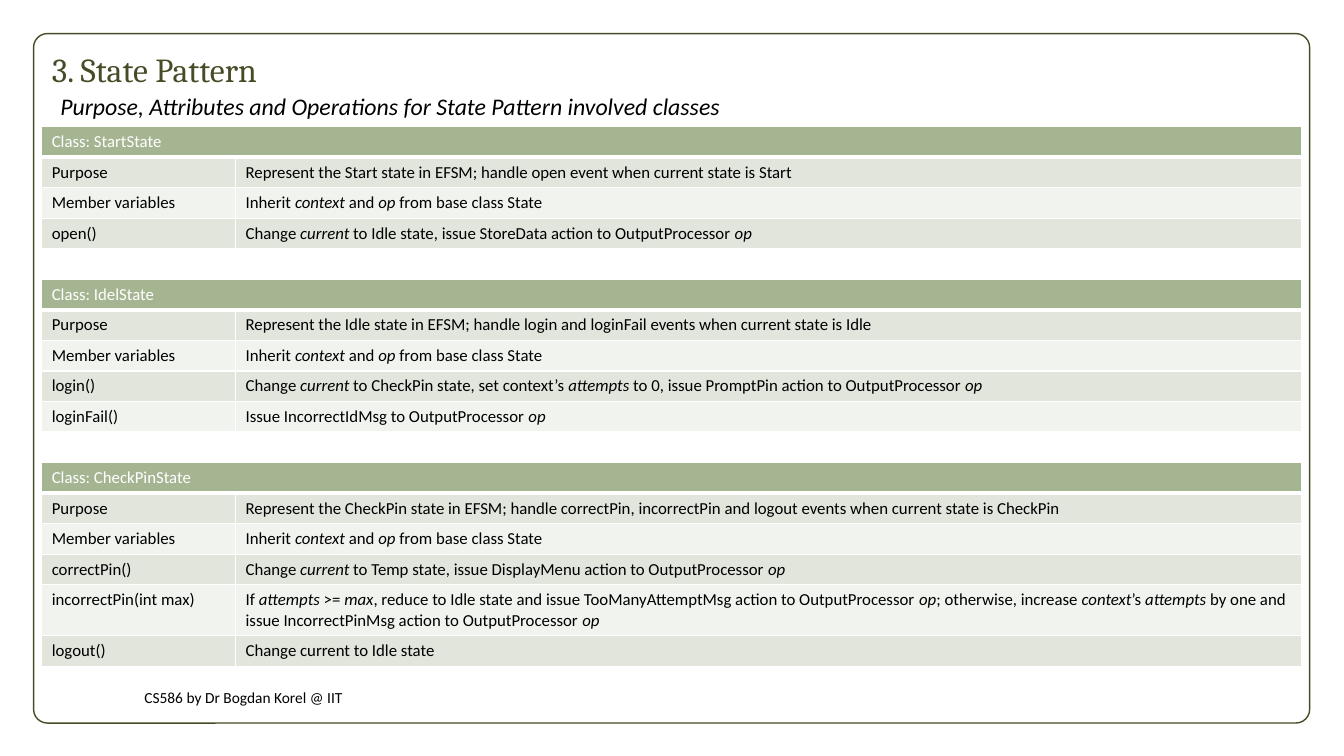
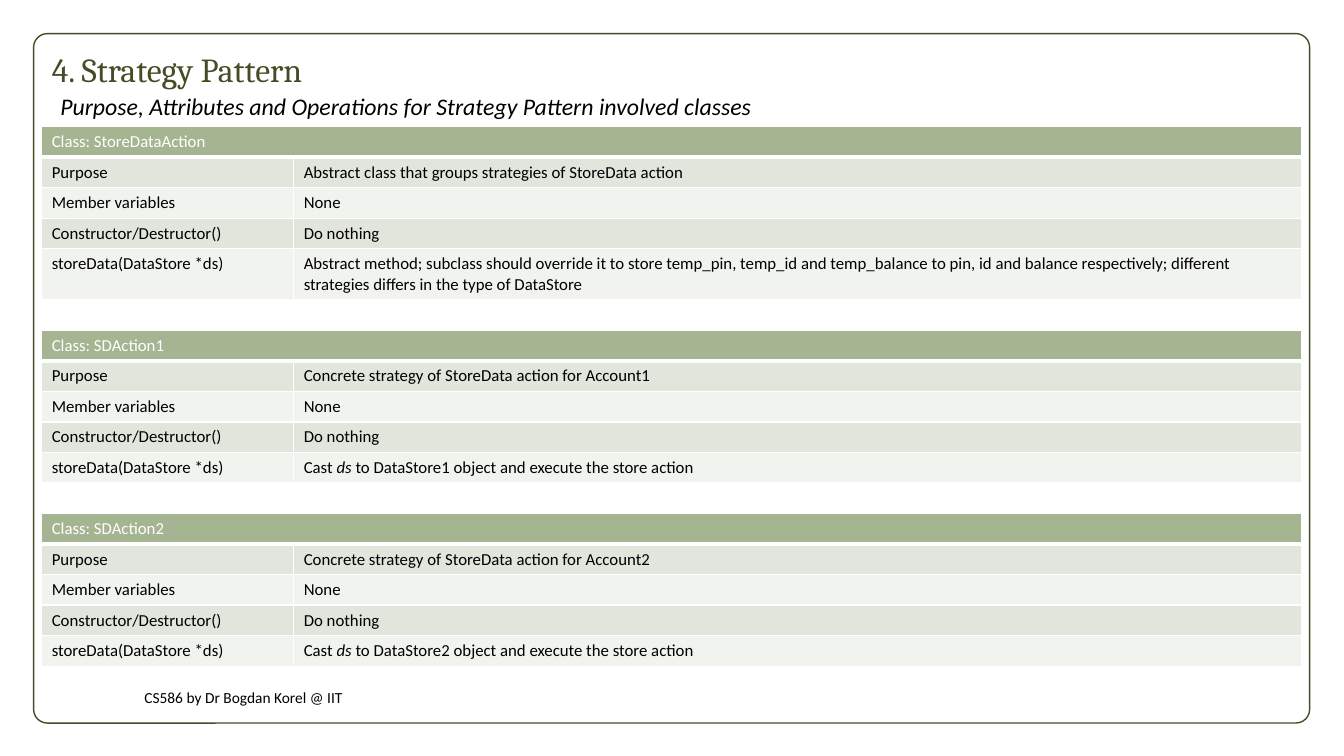
"""Builds two slides of class tables for the State and Strategy patterns."""
import pptx
import pptx.dml.color
import pptx.enum.shapes
import pptx.enum.text
import pptx.oxml.ns
import pptx.util
from lxml import etree

Pt = pptx.util.Pt
MIDDLE = pptx.enum.text.MSO_ANCHOR.MIDDLE
TOP = pptx.enum.text.MSO_ANCHOR.TOP

COLORS = {"olive": "444D26", "header": "A5B592", "odd": "E1E5DC",
          "even": "F0F3EE", "white": "FFFFFF", "black": "000000"}
BODY_FONT, TITLE_FONT = "Calibri", "Cambria"
FOOTER = "CS586 by Dr Bogdan Korel @ IIT"
SUBTITLE = "Purpose, Attributes and Operations for {} involved classes"
ITALIC_MARK = "|"

INHERITED = ("Member variables", "Inherit |context| and |op| from base class State")
STATELESS = [("Member variables", "None"), ("Constructor/Destructor()", "Do nothing")]
STORE = "storeData(DataStore *ds)"

SLIDES = [
    {"number": 3, "pattern": "State Pattern", "label_width": 138.5, "classes": [
        ("StartState", [
            ("Purpose", "Represent the Start state in EFSM; handle open event when current state is Start"),
            INHERITED,
            ("open()", "Change |current| to Idle state, issue StoreData action to OutputProcessor |op|"),
        ]),
        ("IdelState", [
            ("Purpose", "Represent the Idle state in EFSM; handle login and loginFail events when "
                        "current state is Idle"),
            INHERITED,
            ("login()", "Change |current| to CheckPin state, set context’s |attempts| to 0, issue "
                        "PromptPin action to OutputProcessor |op|"),
            ("loginFail()", "Issue IncorrectIdMsg to OutputProcessor |op|"),
        ]),
        ("CheckPinState", [
            ("Purpose", "Represent the CheckPin state in EFSM; handle correctPin, incorrectPin and "
                        "logout events when current state is CheckPin"),
            INHERITED,
            ("correctPin()", "Change |current| to Temp state, issue DisplayMenu action to OutputProcessor |op|"),
            ("incorrectPin(int max)",
             "If |attempts| >= |max|, reduce to Idle state and issue TooManyAttemptMsg action to "
             "OutputProcessor |op|; otherwise, increase |context|’s |attempts| by one and issue "
             "IncorrectPinMsg action to OutputProcessor |op|"),
            ("logout()", "Change current to Idle state"),
        ]),
    ]},
    {"number": 4, "pattern": "Strategy Pattern", "label_width": 180, "classes": [
        ("StoreDataAction", [
            ("Purpose", "Abstract class that groups strategies of StoreData action"),
            *STATELESS,
            (STORE, "Abstract method; subclass should override it to store temp_pin, temp_id and "
                    "temp_balance to pin, id and balance respectively; different strategies differs "
                    "in the type of DataStore"),
        ]),
        *[(f"SDAction{n}", [
            ("Purpose", f"Concrete strategy of StoreData action for Account{n}"),
            *STATELESS,
            (STORE, f"Cast |ds| to DataStore{n} object and execute the store action"),
        ]) for n in (1, 2)],
    ]},
]

TABLE_LEFT, TABLE_TOP, TABLE_WIDTH = 29.8, 90.6, 900
ROW_HEIGHT, TWO_LINE_HEIGHT, LINE_CAPACITY = 21.8, 36.4, 150


def rgb(name):
    return pptx.dml.color.RGBColor.from_string(COLORS[name])


def write(frame, text, size, color, font=BODY_FONT, anchor=MIDDLE, italic=None):
    frame.word_wrap = True
    frame.vertical_anchor = anchor
    paragraph = frame.paragraphs[0]
    paragraph.alignment = pptx.enum.text.PP_ALIGN.LEFT
    paragraph.font.size = Pt(size)
    paragraph.font.name = font
    paragraph.font.color.rgb = rgb(color)
    paragraph.font.italic = italic
    for position, piece in enumerate(text.split(ITALIC_MARK)):
        if piece:
            run = paragraph.add_run()
            run.text = piece
            if position % 2:
                run.font.italic = True
    return paragraph


def style_cell(cell, row, fill):
    properties = cell._tc.get_or_add_tcPr()
    widths = {"lnL": 1, "lnR": 1, "lnT": 3 if row == 1 else 1, "lnB": 3 if row == 0 else 1}
    for side, width in widths.items():
        line = etree.SubElement(properties, pptx.oxml.ns.qn(f"a:{side}"), w=str(Pt(width)))
        paint = etree.SubElement(line, pptx.oxml.ns.qn("a:solidFill"))
        etree.SubElement(paint, pptx.oxml.ns.qn("a:srgbClr"), val=COLORS["white"])
    cell.fill.solid()
    cell.fill.fore_color.rgb = rgb(fill)


def add_class_table(slide, top, label_width, name, members):
    heights = [ROW_HEIGHT] + [
        TWO_LINE_HEIGHT if len(text.replace(ITALIC_MARK, "")) > LINE_CAPACITY else ROW_HEIGHT
        for _, text in members]
    table = slide.shapes.add_table(len(heights), 2, Pt(TABLE_LEFT), Pt(top),
                                   Pt(TABLE_WIDTH), Pt(sum(heights))).table
    table.first_row = table.horz_banding = False
    table.columns[0].width = Pt(label_width)
    table.columns[1].width = Pt(TABLE_WIDTH - label_width)
    table.cell(0, 0).merge(table.cell(0, 1))
    for row, (height, texts) in enumerate(zip(heights, [(f"Class: {name}", ""), *members])):
        table.rows[row].height = Pt(height)
        fill = "header" if row == 0 else "odd" if row % 2 else "even"
        for column, text in enumerate(texts):
            cell = table.cell(row, column)
            style_cell(cell, row, fill)
            write(cell.text_frame, text, 12, "black" if row else "white", anchor=None)
    return top + sum(heights)


def add_base(deck, number, pattern):
    slide = deck.slides.add_slide(deck.slide_layouts[5])
    frame = slide.shapes.add_shape(pptx.enum.shapes.MSO_SHAPE.ROUNDED_RECTANGLE,
                                   Pt(24), Pt(24), Pt(911.5), Pt(492.5))
    frame.adjustments[0] = 0.02
    frame.shadow.inherit = False
    frame.fill.solid()
    frame.fill.fore_color.rgb = rgb("white")
    frame.line.color.rgb = rgb("olive")
    frame.line.width = Pt(1)
    title = slide.shapes.title
    title.element.addprevious(frame.element)
    title.left, title.top, title.width, title.height = Pt(29.8), Pt(30), Pt(767.5), Pt(38)
    write(title.text_frame, f"{number}. {pattern}", 24, "olive", TITLE_FONT)
    footer = slide.shapes.add_textbox(Pt(96), Pt(486), Pt(584), Pt(24))
    write(footer.text_frame, FOOTER, 11, "black")
    subtitle = slide.shapes.add_textbox(Pt(36), Pt(67.7), Pt(834), Pt(22.3))
    write(subtitle.text_frame, SUBTITLE.format(pattern), 17, "black",
          anchor=TOP, italic=True).line_spacing = 0.7
    return slide


def main():
    deck = pptx.Presentation()
    deck.slide_width, deck.slide_height = Pt(960), Pt(540)
    for content in SLIDES:
        slide = add_base(deck, content["number"], content["pattern"])
        top = TABLE_TOP
        for name, members in content["classes"]:
            bottom = add_class_table(slide, top, content["label_width"], name, members)
            top = bottom + ROW_HEIGHT
    deck.save("out.pptx")


if __name__ == "__main__":
    main()
